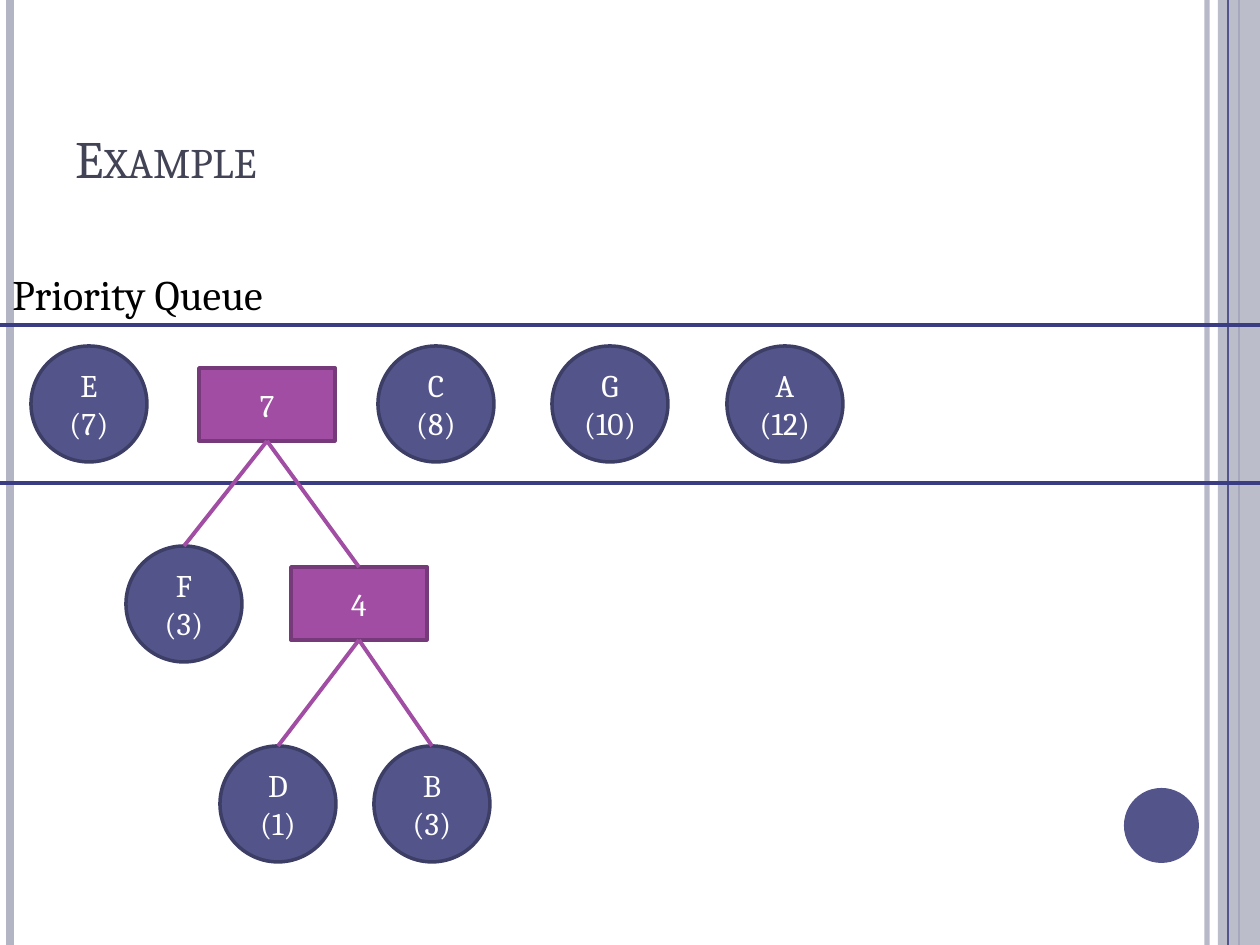
import dataclasses

import lxml.etree
import pptx
import pptx.dml.color
import pptx.enum.shapes
import pptx.enum.text
import pptx.oxml.ns
import pptx.util

SHAPE = pptx.enum.shapes.MSO_SHAPE
ANCHOR = pptx.enum.text.MSO_ANCHOR
ALIGN = pptx.enum.text.PP_ALIGN
EMU_PER_PX = 914400 / 126
PAGE_WIDTH, PAGE_HEIGHT = 1260, 945
CIRCLE = (116, 116)
BLOCK = (136, 73)


@dataclasses.dataclass(frozen=True)
class Theme:
    font: str = "Cambria"
    title_size: int = 30
    label_size: int = 24
    node_size: int = 18
    outline: float = 2
    rule: float = 2.25
    title: str = "424456"
    label: str = "000000"
    node_text: str = "FFFFFF"
    leaf: str = "53548A"
    leaf_edge: str = "3D3E66"
    parent: str = "A04DA3"
    parent_edge: str = "763979"
    queue_rule: str = "3B3D82"
    band: str = "B3B4C4"


THEME = Theme()


def px(value):
    return pptx.util.Emu(round(value * EMU_PER_PX))


def color(value):
    return pptx.dml.color.RGBColor.from_string(value)


def set_alpha(element, percent):
    fill = element.find(".//" + pptx.oxml.ns.qn("a:srgbClr"))
    alpha = lxml.etree.SubElement(fill, pptx.oxml.ns.qn("a:alpha"))
    alpha.set("val", str(percent * 1000))


def style_text(frame, size, tint, align):
    for para in frame.paragraphs:
        para.alignment = align
        for span in para.runs:
            span.font.name = THEME.font
            span.font.size = pptx.util.Pt(size)
            span.font.color.rgb = color(tint)


def add_shape(shapes, kind, box, fill, edge=None):
    shape = shapes.add_shape(kind, *map(px, box))
    shape.shadow.inherit = False
    shape.fill.solid()
    shape.fill.fore_color.rgb = color(fill)
    if edge:
        shape.line.color.rgb = color(edge)
        shape.line.width = pptx.util.Pt(THEME.outline)
    else:
        shape.line.fill.background()
    return shape


def add_line(shapes, start, end, tint, width):
    line = shapes.add_connector(
        pptx.enum.shapes.MSO_CONNECTOR.STRAIGHT, *map(px, start + end)
    )
    line.line.color.rgb = color(tint)
    line.line.width = pptx.util.Pt(width)
    properties = line._element.spPr
    lxml.etree.SubElement(properties, pptx.oxml.ns.qn("a:effectLst"))
    return line


def add_node(shapes, kind, box, text, fill, edge):
    node = add_shape(shapes, kind, box, fill, edge)
    frame = node.text_frame
    frame.margin_left = frame.margin_right = 0
    frame.vertical_anchor = ANCHOR.MIDDLE
    frame.text = text
    style_text(frame, THEME.node_size, THEME.node_text, ALIGN.CENTER)
    return node


def add_leaf(shapes, left, top, letter, weight):
    return add_node(shapes, SHAPE.OVAL, (left, top) + CIRCLE,
                    f"{letter}\n({weight})", THEME.leaf, THEME.leaf_edge)


def add_parent(shapes, left, top, weight):
    return add_node(shapes, SHAPE.RECTANGLE, (left, top) + BLOCK,
                    weight, THEME.parent, THEME.parent_edge)


def add_branch(shapes, parent, child):
    line = add_line(shapes, (0, 0), (0, 0), THEME.parent, THEME.rule)
    line.begin_connect(parent, 2)
    line.end_connect(child, 0)


def add_frame(page, left, top, width, height):
    def stripe(offset, tint, weight):
        return add_line(page.shapes, (left + offset, top),
                        (left + offset, top + height), tint, weight)

    set_alpha(stripe(1207, THEME.band, 3)._element, 93)
    stripe(10, THEME.band, 4.5)
    stripe(1239, THEME.leaf, 1.5)
    band = add_shape(page.shapes, SHAPE.RECTANGLE,
                     (left + 1218, top, width - 1218, height), THEME.band)
    set_alpha(band._element, 87)
    stripe(1228, THEME.leaf, 0.75)
    add_shape(page.shapes, SHAPE.OVAL, (left + 1124, top + 788, 75, 75), THEME.leaf)


def add_title(page, left, top, width, height):
    title = page.shapes.title
    title.left, title.top, title.width, title.height = map(
        px, (left, top, width, height))
    frame = title.text_frame
    frame.text = "Example"
    frame.auto_size = pptx.enum.text.MSO_AUTO_SIZE.NONE
    frame.vertical_anchor = ANCHOR.BOTTOM
    style_text(frame, THEME.title_size, THEME.title, ALIGN.LEFT)
    frame.paragraphs[0].runs[0]._r.get_or_add_rPr().set("cap", "small")


def add_queue(page, left, top, width, height):
    for offset, letter, weight in ((727, "A", 12), (378, "C", 8),
                                   (31, "E", 7), (552, "G", 10)):
        add_leaf(page.shapes, left + offset, top + 84, letter, weight)
    for y in (top + 63, top + height):
        add_line(page.shapes, (left, y), (left + width, y),
                 THEME.queue_rule, THEME.rule)
    label = page.shapes.add_textbox(*map(px, (left, top, 318, 63)))
    frame = label.text_frame
    frame.word_wrap = False
    frame.text = "Priority Queue"
    style_text(frame, THEME.label_size, THEME.label, ALIGN.LEFT)


def add_subtree(page, left, top):
    group = page.shapes.add_group_shape()
    leaves = [add_leaf(group.shapes, left + offset, top + 179, letter, weight)
              for offset, letter, weight in ((0, "D", 1), (154, "B", 3))]
    parent = add_parent(group.shapes, left + 71, top, "4")
    for leaf in leaves:
        add_branch(group.shapes, parent, leaf)
    return parent


def add_tree(page, left, top):
    leaf = add_leaf(page.shapes, left, top + 178, "F", 3)
    subtree = add_subtree(page, left + 94, top + 199)
    root = add_parent(page.shapes, left + 73, top, "7")
    for child in (leaf, subtree):
        add_branch(page.shapes, root, child)


def main():
    deck = pptx.Presentation()
    deck.slide_width, deck.slide_height = px(PAGE_WIDTH), px(PAGE_HEIGHT)
    page = deck.slides.add_slide(deck.slide_layouts[5])
    add_frame(page, 0, 0, PAGE_WIDTH, PAGE_HEIGHT)
    add_title(page, 63, 38, 1029, 157)
    add_queue(page, 0, 262, PAGE_WIDTH, 221)
    add_tree(page, 126, 368)
    deck.save("out.pptx")


if __name__ == "__main__":
    main()
